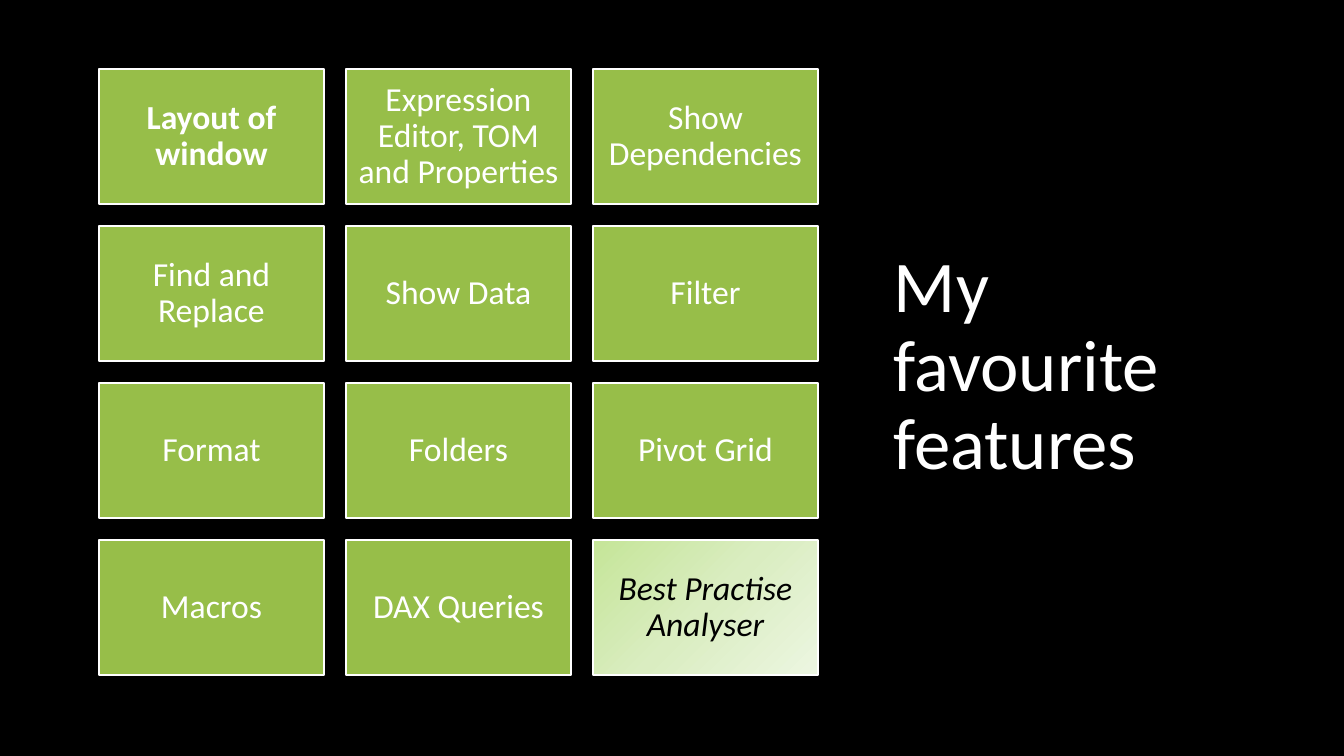
from copy import deepcopy

from pptx import Presentation
from pptx import util as u
from pptx.dml.color import RGBColor
from pptx.enum import shapes, text
from pptx.oxml.ns import qn

COLOURS = {
    "background": "000000",
    "tile": "97BE49",
    "white": "FFFFFF",
    "black": "000000",
    "gradient start": "C5E598",
    "gradient middle": "DAEDC1",
    "gradient end": "ECF6E1",
}
PX = 914400 / 100.8


def rgb(name):
    return RGBColor.from_string(COLOURS[name])


def write(box, words, size=24, colour="white", align=text.PP_ALIGN.CENTER,
          bold=False, italic=False, inset=10):
    frame = box.text_frame
    frame.word_wrap = True
    frame.auto_size = text.MSO_AUTO_SIZE.NONE
    frame.vertical_anchor = text.MSO_ANCHOR.MIDDLE
    frame.margin_left = frame.margin_right = u.Emu(int(10 * PX))
    frame.margin_top = frame.margin_bottom = u.Emu(int(inset * PX))
    para = frame.paragraphs[0]
    para.alignment = align
    para.line_spacing = 0.9
    span = para.add_run()
    span.text = words
    span.font.name = "Calibri"
    span.font.size = u.Pt(size)
    span.font.bold = bold
    span.font.italic = italic
    span.font.color.rgb = rgb(colour)


# Slide
deck = Presentation()
deck.slide_width, deck.slide_height = int(1344 * PX), int(756 * PX)
page = deck.slides.add_slide(deck.slide_layouts[5])
page.background.fill.solid()
page.background.fill.fore_color.rgb = rgb("background")

# Title on the right
title = page.shapes.title
title.left, title.top, title.width, title.height = (
    int(n * PX) for n in (884, 60, 368, 615))
write(title, "My favourite features", size=52, align=text.PP_ALIGN.LEFT, inset=5)

# Grid of feature tiles
FEATURES = [
    "Layout of window", "Expression Editor, TOM and Properties", "Show Dependencies",
    "Find and Replace", "Show Data", "Filter",
    "Format", "Folders", "Pivot Grid",
    "Macros", "DAX Queries", "Best Practise Analyser",
]
FORMATS = {
    "Layout of window": {"bold": True},
    "Best Practise Analyser": {"italic": True, "colour": "black"},
}
LEFT, TOP, WIDTH, HEIGHT, GAP = 99, 69, 225, 135, 22
for index, feature in enumerate(FEATURES):
    row, column = divmod(index, 3)
    place = (LEFT + column * (WIDTH + GAP), TOP + row * (HEIGHT + GAP), WIDTH, HEIGHT)
    tile = page.shapes.add_shape(shapes.MSO_SHAPE.RECTANGLE, *(int(n * PX) for n in place))
    tile.shadow.inherit = False
    tile.fill.solid()
    tile.fill.fore_color.rgb = rgb("tile")
    tile.line.color.rgb = rgb("white")
    tile.line.width = u.Pt(1)
    write(tile, feature, **FORMATS.get(feature, {}))

# Gradient on the last tile
tile.fill.gradient()
tile.fill.gradient_angle = 315
stop_list = next(tile.element.iter(qn("a:gsLst")))
stop_list.insert(1, deepcopy(stop_list[0]))
names = ("gradient start", "gradient middle", "gradient end")
for stop, position, name in zip(tile.fill.gradient_stops, (0, 0.5, 1), names):
    stop.position = position
    stop.color.rgb = rgb(name)

deck.save("out.pptx")
